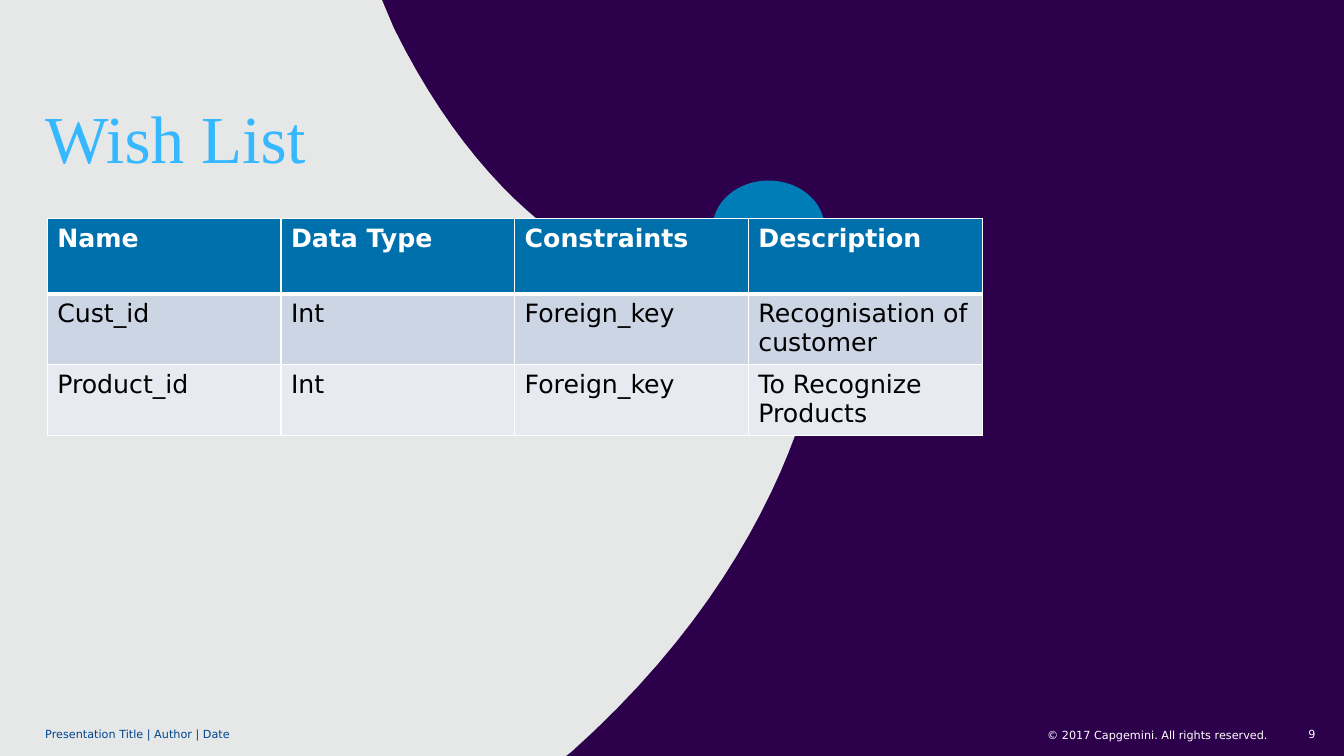
from lxml import etree
from pptx import Presentation
from pptx import util as u
from pptx.dml.color import RGBColor
from pptx.enum import shapes, text
from pptx.oxml import ns

PALE_GREY = RGBColor(0xE6, 0xE7, 0xE7)
PURPLE = RGBColor(0x2C, 0x00, 0x4B)
TEAL = RGBColor(0x00, 0x7D, 0xB6)
SKY = RGBColor(0x35, 0xB8, 0xFF)
NAVY = RGBColor(0x00, 0x45, 0x8D)
HEADER_BLUE = RGBColor(0x00, 0x70, 0xAD)
BAND_DARK = RGBColor(0xCC, 0xD5, 0xE3)
BAND_LIGHT = RGBColor(0xE7, 0xEB, 0xF1)
WHITE = RGBColor(0xFF, 0xFF, 0xFF)
BLACK = RGBColor(0x00, 0x00, 0x00)

SANS = "DejaVu Sans"
SERIF = "Times New Roman"
WIDTH, HEIGHT = 33.87, 19.05

ROWS = [
    ["Name", "Data Type", "Constraints", "Description"],
    ["Cust_id", "Int", "Foreign_key", "Recognisation of customer"],
    ["Product_id", "Int", "Foreign_key", "To Recognize Products"],
]
ROW_FILLS = [HEADER_BLUE, BAND_DARK, BAND_LIGHT]
ROW_HEIGHTS = [1.9, 1.73, 1.73]
COLUMN_WIDTH = 5.89

LOWER_CURVE = [(14.4, 18.95), (22.58, 11.66), (21.11, 3.38), (19.91, 5.59)]
UPPER_CURVE = [(19.91, 5.59), (19.38, 8.43), (13.59, 8.13), (9.93, 0.71)]


def apply(target, values):
    for name, value in values.items():
        setattr(target, name, value)


def write(frame, words, color, size, font=SANS, bold=False, frame_format=None, para_format=None):
    apply(frame, {"word_wrap": True, **(frame_format or {})})
    para = frame.paragraphs[0]
    apply(para, para_format or {})
    span = para.add_run()
    span.text = words
    apply(span.font, {"name": font, "size": u.Pt(size), "bold": bold})
    span.font.color.rgb = color


def margins(size):
    return {f"margin_{side}": u.Cm(size) for side in ("left", "top", "right", "bottom")}


def paint(shape, color):
    shape.shadow.inherit = False
    shape.fill.solid()
    shape.fill.fore_color.rgb = color
    shape.line.fill.background()


def bezier(corners, steps=40):
    points = []
    for step in range(steps + 1):
        t = step / steps
        weights = [(1 - t) ** 3, 3 * t * (1 - t) ** 2, 3 * t * t * (1 - t), t ** 3]
        points.append(tuple(
            sum(weight * corner[axis] for weight, corner in zip(weights, corners))
            for axis in (0, 1)
        ))
    return points


def add_backdrop(page):
    outline = [(9.63, 0), (WIDTH, 0), (WIDTH, HEIGHT), (14.27, HEIGHT)]
    outline += bezier(LOWER_CURVE) + bezier(UPPER_CURVE)
    points = [(u.Cm(x), u.Cm(y)) for x, y in outline]
    builder = page.shapes.build_freeform(*points[0])
    builder.add_line_segments(points[1:], close=True)
    paint(builder.convert_to_shape(), PURPLE)


def add_emblem(page):
    emblem = page.shapes.add_shape(
        shapes.MSO_SHAPE.OVAL, u.Cm(17.96), u.Cm(4.55), u.Cm(2.82), u.Cm(2.39))
    paint(emblem, TEAL)


def add_title(page, words):
    title = page.shapes.title
    apply(title, {"left": u.Cm(1.14), "top": u.Cm(1.27), "width": u.Cm(10.06), "height": u.Cm(3.2)})
    write(title.text_frame, words, SKY, 48, SERIF,
          frame_format={"auto_size": text.MSO_AUTO_SIZE.NONE,
                        "vertical_anchor": text.MSO_ANCHOR.BOTTOM, **margins(0)},
          para_format={"alignment": text.PP_ALIGN.LEFT, "line_spacing": u.Pt(62),
                       "space_after": u.Pt(6)})


def add_footer(page, words, left, width, color, frame_format, para_format=None):
    box = page.shapes.add_textbox(u.Cm(left), u.Cm(18.21), u.Cm(width), u.Cm(0.61))
    write(box.text_frame, words, color, 8, frame_format=frame_format, para_format=para_format)


def add_borders(cell, bottom):
    properties = cell._tc.get_or_add_tcPr()
    for side, points in (("L", 1), ("R", 1), ("T", 1), ("B", bottom)):
        line = etree.SubElement(properties, ns.qn(f"a:ln{side}"), w=str(u.Pt(points)))
        fill = etree.SubElement(line, ns.qn("a:solidFill"))
        etree.SubElement(fill, ns.qn("a:srgbClr"), val=str(WHITE))


def add_field_table(page):
    columns = len(ROWS[0])
    table = page.shapes.add_table(
        len(ROWS), columns, u.Cm(1.19), u.Cm(5.51),
        u.Cm(COLUMN_WIDTH * columns), u.Cm(sum(ROW_HEIGHTS))).table
    for column in table.columns:
        column.width = u.Cm(COLUMN_WIDTH)
    for index, (words, color, height) in enumerate(zip(ROWS, ROW_FILLS, ROW_HEIGHTS)):
        header = index == 0
        table.rows[index].height = u.Cm(height)
        for cell, label in zip(table.rows[index].cells, words):
            add_borders(cell, 3 if header else 1)
            cell.fill.solid()
            cell.fill.fore_color.rgb = color
            write(cell.text_frame, label, WHITE if header else BLACK, 18, bold=header)


def main():
    deck = Presentation()
    apply(deck, {"slide_width": u.Cm(WIDTH), "slide_height": u.Cm(HEIGHT)})
    page = deck.slides.add_slide(deck.slide_layouts[5])
    page.background.fill.solid()
    page.background.fill.fore_color.rgb = PALE_GREY
    add_backdrop(page)
    add_emblem(page)
    flush = {"vertical_anchor": text.MSO_ANCHOR.MIDDLE, **margins(0)}
    add_footer(page, "© 2017 Capgemini. All rights reserved.", 26.39, 6.17, WHITE, flush)
    add_footer(page, "9", 32.41, 0.99, WHITE, {}, {"alignment": text.PP_ALIGN.RIGHT})
    add_footer(page, "Presentation Title | Author | Date", 1.14, 7.85, NAVY, flush,
               {"line_spacing": 0.85})
    add_title(page, "Wish List")
    add_field_table(page)
    deck.save("out.pptx")


if __name__ == "__main__":
    main()
